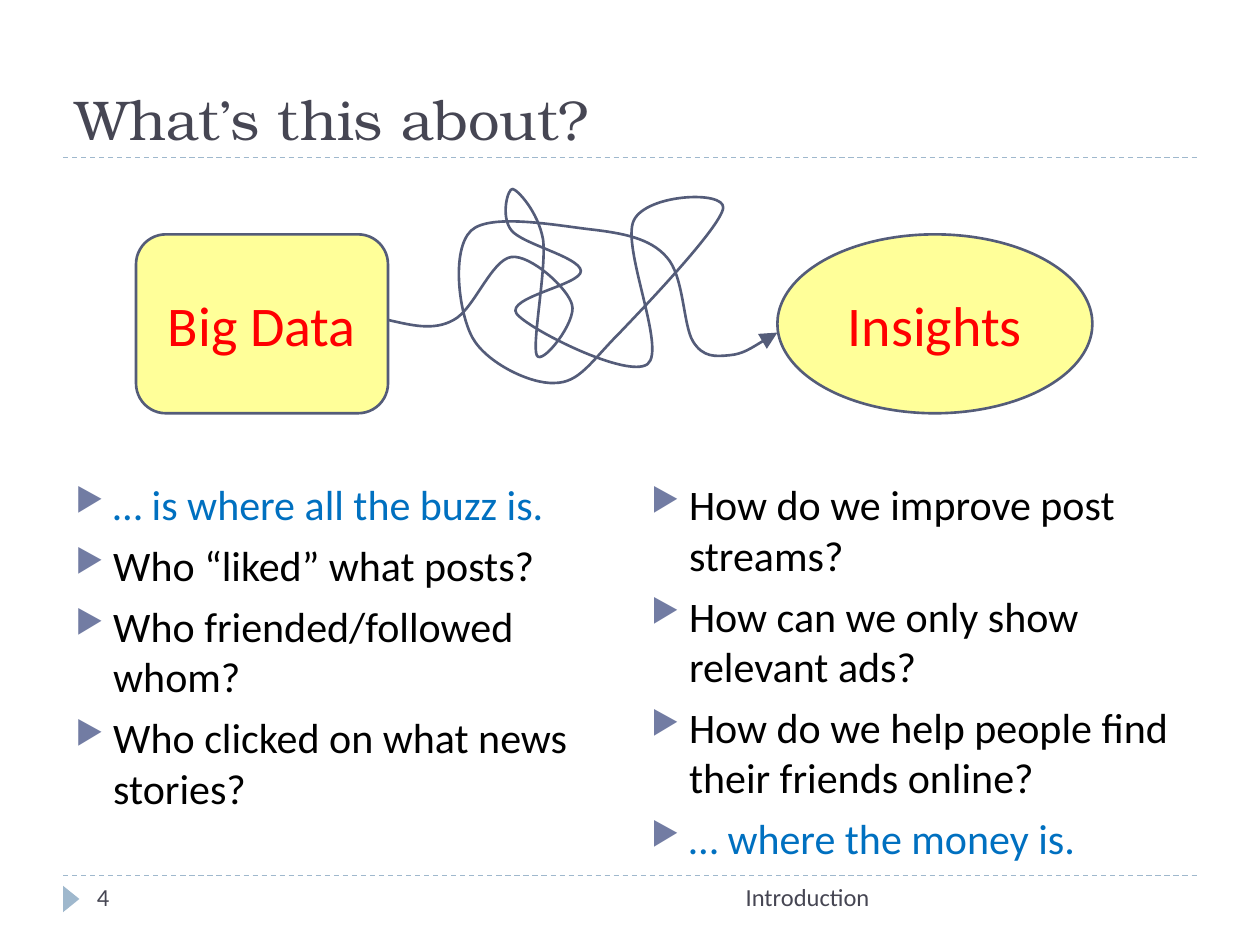
from lxml.etree import SubElement
from pptx import Presentation
from pptx.dml.color import RGBColor
from pptx.enum.dml import MSO_LINE
from pptx.enum.shapes import MSO_CONNECTOR, MSO_SHAPE
from pptx.enum.text import MSO_ANCHOR, PP_ALIGN
from pptx.oxml.ns import qn
from pptx.util import Inches, Pt

PALE_BLUE = RGBColor(0x9F, 0xB8, 0xCD)
SLATE = RGBColor(0x46, 0x46, 0x53)
OUTLINE = RGBColor(0x54, 0x5C, 0x79)
YELLOW = RGBColor(0xFF, 0xFF, 0x00)
RED = RGBColor(0xFF, 0x00, 0x00)
BLUE = RGBColor(0x00, 0x70, 0xC0)
BLACK = RGBColor(0x00, 0x00, 0x00)
BULLET_COLOR = RGBColor(0x72, 0x7C, 0xA3)

presentation = Presentation()
presentation.slide_width = Inches(10)
presentation.slide_height = Inches(7.5)
slide = presentation.slides.add_slide(presentation.slide_layouts[6])
shapes = slide.shapes


def add_run(paragraph, text, size, color, font="Calibri"):
    run = paragraph.add_run()
    run.text = text
    run.font.size = Pt(size)
    run.font.name = font
    run.font.color.rgb = color


def add_text_frame(left, top, width, height):
    box = shapes.add_textbox(Inches(left), Inches(top), Inches(width), Inches(height))
    box.text_frame.word_wrap = True
    return box.text_frame


# Dashed rules and page marker
for y in (6.95, 1.25):
    rule = shapes.add_connector(
        MSO_CONNECTOR.STRAIGHT, Inches(0.5), Inches(y), Inches(9.5), Inches(y))
    rule.line.color.rgb = PALE_BLUE
    rule.line.width = Pt(0.75)
    rule.line.dash_style = MSO_LINE.DASH
    SubElement(rule._element.spPr, qn("a:effectLst"))

marker = shapes.add_shape(
    MSO_SHAPE.ISOSCELES_TRIANGLE, Inches(0.46), Inches(7.07), Inches(0.21), Inches(0.13))
marker.rotation = 90
marker.shadow.inherit = False
marker.fill.solid()
marker.fill.fore_color.rgb = PALE_BLUE
marker.line.fill.background()

# Title, footer and page number
title = add_text_frame(0.5, 0.25, 9, 1)
title.vertical_anchor = MSO_ANCHOR.BOTTOM
add_run(title.paragraphs[0], "What’s this about?", 32, SLATE, "TeX Gyre Bonum")

footer = add_text_frame(3.17, 6.95, 3.83, 0.4)
footer.paragraphs[0].alignment = PP_ALIGN.RIGHT
add_run(footer.paragraphs[0], "Introduction", 14, SLATE)

page_number = add_text_frame(0.67, 6.95, 2.17, 0.4)
add_run(page_number.paragraphs[0], "4", 14, SLATE)

# Bullet columns
columns = [
    (0.5, [
        ("… is where all the buzz is.", BLUE),
        ("Who “liked” what posts?", BLACK),
        ("Who friended/followed whom?", BLACK),
        ("Who clicked on what news stories?", BLACK),
    ]),
    (5.07, [
        ("How do we improve post streams?", BLACK),
        ("How can we only show relevant ads?", BLACK),
        ("How do we help people find their friends online?", BLACK),
        ("… where the money is.", BLUE),
    ]),
]
for left, items in columns:
    column = add_text_frame(left, 3.75, 4.42, 2.98)
    for index, (text, color) in enumerate(items):
        paragraph = column.add_paragraph() if index else column.paragraphs[0]
        paragraph.space_before = Pt(6)
        add_run(paragraph, text, 24, color)
        properties = paragraph._p.get_or_add_pPr()
        properties.set("marL", str(Inches(0.3)))
        properties.set("indent", str(-Inches(0.3)))
        bullet_color = SubElement(properties, qn("a:buClr"))
        SubElement(bullet_color, qn("a:srgbClr"), val=str(BULLET_COLOR))
        SubElement(properties, qn("a:buSzPct"), val="76000")
        SubElement(properties, qn("a:buChar"), char="▶")

# Start and end of the journey
nodes = [
    (MSO_SHAPE.ROUNDED_RECTANGLE, 1.08, 2, "Big Data"),
    (MSO_SHAPE.OVAL, 6.17, 2.5, "Insights"),
]
for kind, left, width, label in nodes:
    node = shapes.add_shape(kind, Inches(left), Inches(1.86), Inches(width), Inches(1.42))
    node.shadow.inherit = False
    node.fill.solid()
    node.fill.fore_color.rgb = YELLOW
    fill_color = node._element.spPr.find(qn("a:solidFill")).find(qn("a:srgbClr"))
    SubElement(fill_color, qn("a:alpha"), val="40000")
    node.line.color.rgb = OUTLINE
    node.line.width = Pt(1.5)
    node.text_frame.vertical_anchor = MSO_ANCHOR.MIDDLE
    node.text_frame.paragraphs[0].alignment = PP_ALIGN.CENTER
    add_run(node.text_frame.paragraphs[0], label, 32, RED)

# Tangled arrow: each row is two control points and the end of one Bézier segment
tangle_start = (3.08, 2.54)
tangle_segments = [
    [(3.26, 2.58), (3.44, 2.63), (3.6, 2.54)],
    [(3.76, 2.46), (3.9, 2.06), (4.06, 2.04)],
    [(4.21, 2.02), (4.51, 2.29), (4.54, 2.42)],
    [(4.58, 2.55), (4.3, 2.91), (4.26, 2.82)],
    [(4.22, 2.73), (4.34, 2.12), (4.31, 1.9)],
    [(4.27, 1.68), (4.11, 1.51), (4.07, 1.5)],
    [(4.03, 1.49), (3.97, 1.72), (4.06, 1.83)],
    [(4.15, 1.94), (4.6, 2.04), (4.61, 2.15)],
    [(4.62, 2.26), (4.01, 2.36), (4.1, 2.49)],
    [(4.19, 2.61), (4.98, 3.01), (5.14, 2.89)],
    [(5.29, 2.77), (4.93, 1.96), (5.03, 1.75)],
    [(5.13, 1.54), (5.75, 1.51), (5.74, 1.65)],
    [(5.72, 1.8), (5.14, 2.41), (4.92, 2.64)],
    [(4.69, 2.87), (4.6, 3.04), (4.4, 3.04)],
    [(4.21, 3.05), (3.86, 2.88), (3.75, 2.68)],
    [(3.64, 2.48), (3.58, 1.98), (3.74, 1.83)],
    [(3.89, 1.69), (4.42, 1.79), (4.68, 1.82)],
    [(4.94, 1.85), (5.16, 1.89), (5.29, 2.04)],
    [(5.43, 2.19), (5.42, 2.58), (5.5, 2.71)],
    [(5.58, 2.84), (5.68, 2.83), (5.79, 2.82)],
    [(5.9, 2.81), (6.03, 2.72), (6.17, 2.64)],
]
builder = shapes.build_freeform(Inches(tangle_start[0]), Inches(tangle_start[1]))
builder.add_line_segments(
    [(Inches(x), Inches(y)) for segment in tangle_segments for x, y in segment],
    close=False)
tangle = builder.convert_to_shape()
tangle.shadow.inherit = False
tangle.fill.background()
tangle.line.color.rgb = OUTLINE
tangle.line.width = Pt(1.5)
SubElement(tangle.line._get_or_add_ln(), qn("a:tailEnd"), type="triangle", w="lg", len="lg")

# Every three straight steps become one cubic curve
outline = next(tangle._element.iter(qn("a:path")))
steps = outline.findall(qn("a:lnTo"))
for first in range(0, len(steps), 3):
    curve = SubElement(outline, qn("a:cubicBezTo"))
    for step in steps[first:first + 3]:
        curve.append(step[0])
        outline.remove(step)

presentation.save("out.pptx")
